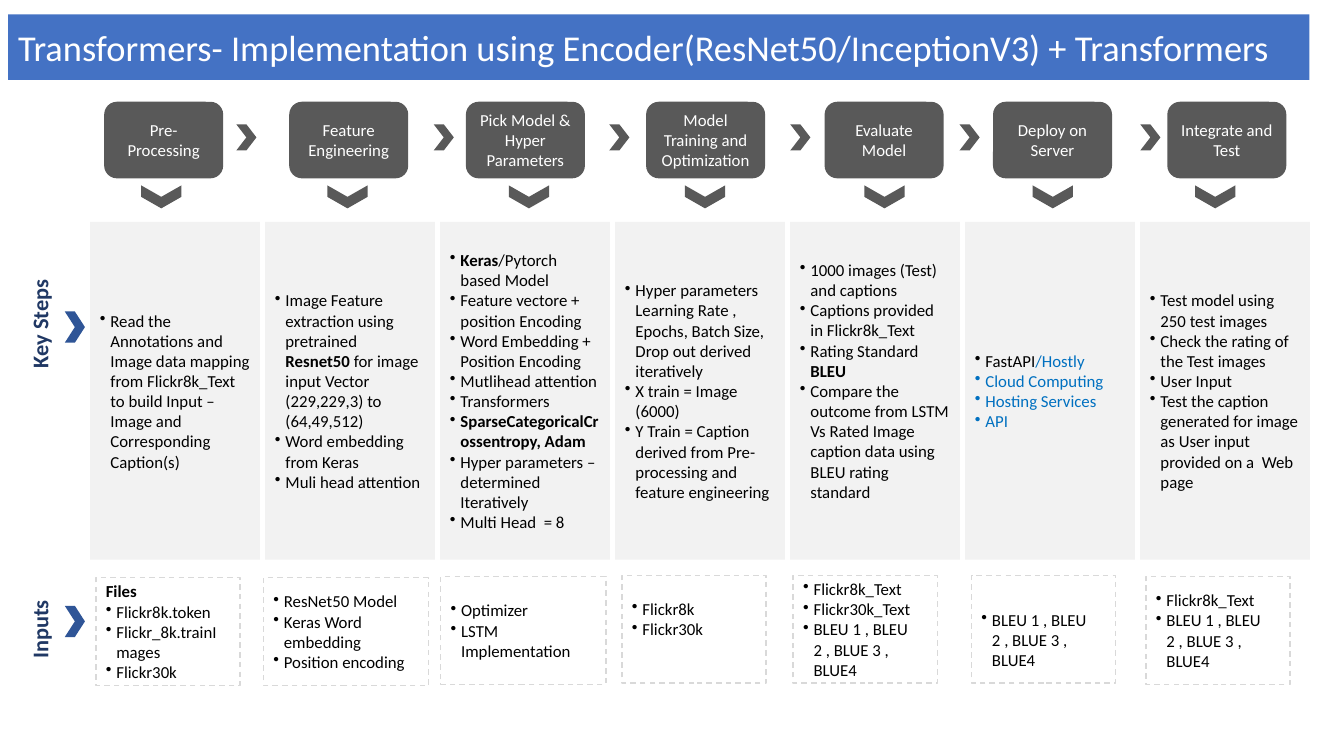
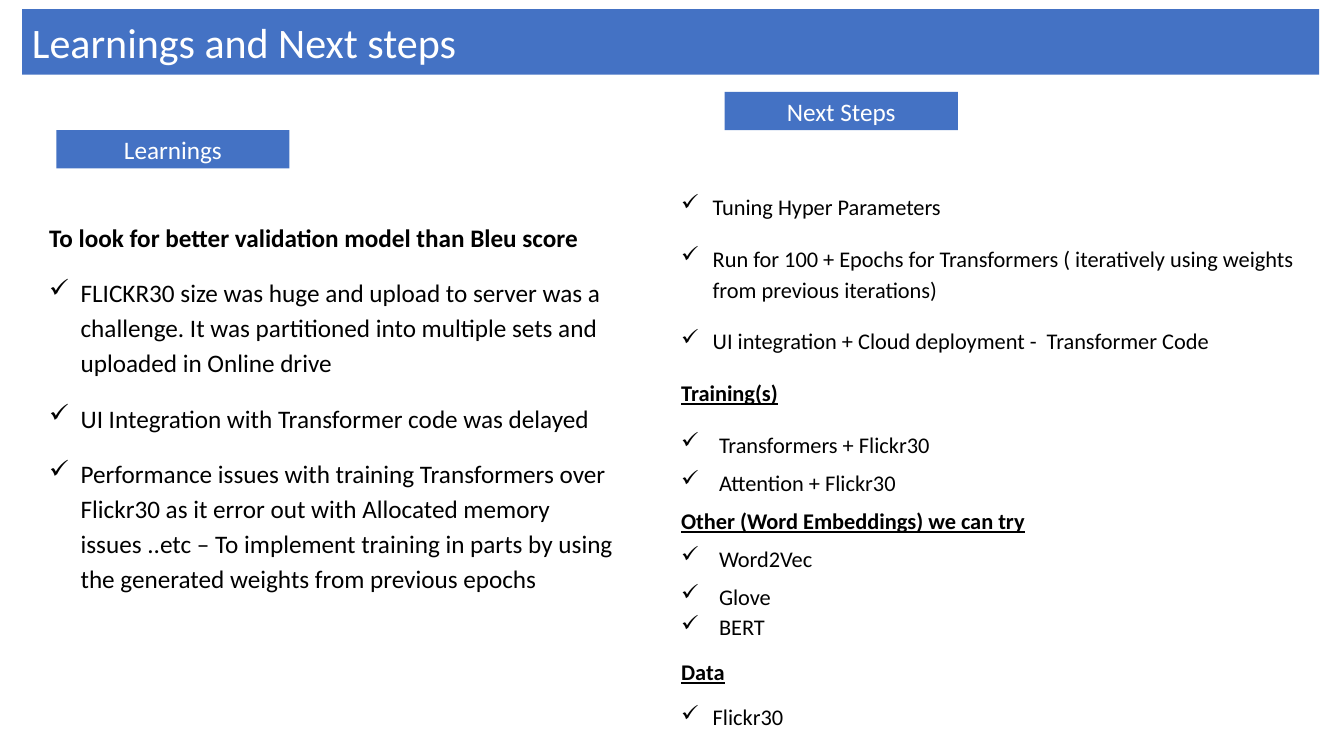
from lxml.etree import SubElement
from pptx import Presentation
from pptx.dml.color import RGBColor
from pptx.enum.dml import MSO_LINE
from pptx.enum.shapes import MSO_SHAPE
from pptx.enum.text import MSO_ANCHOR, PP_ALIGN
from pptx.oxml.ns import qn
from pptx.util import Pt

COLORS = {
    "band": "4472C4", "step": "595959", "panel": "F2F2F2", "dash": "D9D9D9",
    "label": "203864", "marker": "2F5597", "link": "0070C0",
    "text": "000000", "white": "FFFFFF",
}
SPANS = {
    "bold": {"bold": True},
    "heading": {"bold": True, "underline": True},
    "link": {"color": "link"},
}
DOT = {"bullet": "•", "indent": 7.5}
PLAIN = {"bullet": None, "indent": 0}


def set_all(target, values):
    for name, value in values.items():
        setattr(target, name, value)


def color(name):
    return RGBColor.from_string(COLORS[name])


class Deck:
    """Holds the shared style, the presentation and the current slide."""

    font = "Calibri"

    def __init__(self, width, height):
        self.deck = Presentation()
        set_all(self.deck, {"slide_width": Pt(width), "slide_height": Pt(height)})
        self.page = None

    def add_page(self):
        self.page = self.deck.slides.add_slide(self.deck.slide_layouts[6])

    def shape(self, kind, at, fill=None, dash=None):
        box = self.page.shapes.add_shape(kind, *map(Pt, at))
        box.shadow.inherit = False
        if fill:
            box.fill.solid()
            box.fill.fore_color.rgb = color(fill)
        else:
            box.fill.background()
        if dash:
            box.line.color.rgb = color(dash)
            set_all(box.line, {"width": Pt(1), "dash_style": MSO_LINE.DASH})
        else:
            box.line.fill.background()
        return box

    def text_box(self, at):
        return self.page.shapes.add_textbox(*map(Pt, at))

    def set_text(self, box, paras, size, ink="text", align=PP_ALIGN.LEFT, top=3.6, bottom=3.6):
        """Fill a box; each para is (spans, format) and each span (text, style)."""
        frame = box.text_frame
        set_all(frame, {"word_wrap": True, "vertical_anchor": MSO_ANCHOR.MIDDLE,
                        "margin_top": Pt(top), "margin_bottom": Pt(bottom)})
        for index, (spans, layout) in enumerate(paras):
            para = frame.add_paragraph() if index else frame.paragraphs[0]
            set_all(para, {
                "alignment": align,
                "line_spacing": layout.get("spacing", 1.0),
                "space_before": Pt(layout.get("before", 0) if index else 0),
                "space_after": Pt(layout.get("after", 0)),
            })
            if layout.get("bullet"):
                self.bullet(para, layout["bullet"], layout["indent"])
            for text, style in spans:
                span = para.add_run()
                span.text = text
                values = {"name": self.font, "size": Pt(size), **SPANS.get(style, {})}
                span.font.color.rgb = color(values.pop("color", ink))
                set_all(span.font, values)

    def bullet(self, para, mark, indent):
        properties = para._p.get_or_add_pPr()
        properties.set("marL", str(Pt(indent)))
        properties.set("indent", str(-Pt(indent)))
        SubElement(properties, qn("a:buChar")).set("char", mark)

    def band(self, at, text, size, align=PP_ALIGN.LEFT):
        box = self.shape(MSO_SHAPE.RECTANGLE, at, "band")
        self.set_text(box, [([(text, "")], {})], size, "white", align)

    def chevron(self, at, fill, rotation=0):
        self.shape(MSO_SHAPE.CHEVRON, at, fill).rotation = rotation

    def step(self, left, text):
        box = self.shape(MSO_SHAPE.ROUNDED_RECTANGLE, (left, 72.7, 85, 54.7), "step")
        self.set_text(box, [([(text, "")], {})], 12, "white", PP_ALIGN.CENTER)

    def bullets(self, box, items, **margins):
        """Set dotted 12 pt items; an item is a string or a list of spans."""
        paras = []
        for item in items:
            spans = [(item, "")] if isinstance(item, str) else item
            paras.append((spans, PLAIN if spans[0][0] == "Files" else DOT))
        self.set_text(box, paras, 12, **margins)

    def row_label(self, text, top, marker_top):
        box = self.text_box((21, top, 14.4, 100))
        box.text_frame._txBody.bodyPr.set("vert", "vert270")
        self.set_text(box, [([(text, "bold")], {})], 16, "label", PP_ALIGN.CENTER)
        self.chevron((46.3, marker_top, 14.4, 22.3), "marker")

    def save(self):
        self.deck.save("out.pptx")


# Step left, step title, centre of down arrow, left of arrow to next step
STEPS = [
    (74.4, "Pre- Processing", 115.2, 168.8),
    (206.6, "Feature Engineering", 248.2, 309.8),
    (332.8, "Pick Model & Hyper Parameters", 377.8, 435.2),
    (461.5, "Model Training and Optimization", 503.6, 564.5),
    (589, "Evaluate Model", 631.8, 685.4),
    (709.3, "Deploy on Server", 752, 814.5),
    (833.8, "Integrate and Test", 868, None),
]
KEY_STEPS = [
    ["Read the Annotations and Image data mapping from Flickr8k_Text to build "
     "Input – Image and Corresponding Caption(s)"],
    [[("Image Feature extraction using pretrained ", ""), ("Resnet50", "bold"),
      (" for image input Vector (229,229,3) to (64,49,512)", "")],
     "Word embedding from Keras", "Muli head attention"],
    [[("Keras", "bold"), ("/Pytorch based Model", "")],
     "Feature vectore + position Encoding", "Word Embedding + Position Encoding",
     "Mutlihead attention", "Transformers",
     [("SparseCategoricalCrossentropy, Adam", "bold")],
     "Hyper parameters – determined Iteratively", "Multi Head  = 8"],
    ["Hyper parameters Learning Rate , Epochs, Batch Size, Drop out derived iteratively",
     "X train = Image (6000)",
     "Y Train = Caption derived from Pre-processing and feature engineering"],
    ["1000 images (Test) and captions", "Captions provided in Flickr8k_Text",
     [("Rating Standard ", ""), ("BLEU", "bold")],
     "Compare the outcome from LSTM Vs Rated Image caption data using BLEU rating standard"],
    [[("FastAPI", ""), ("/Hostly", "link")], [("Cloud Computing", "link")],
     [("Hosting Services", "link")], [("API", "link")]],
    ["Test model using 250 test images", "Check the rating of the Test images", "User Input",
     "Test the caption generated for image as User input provided on a  Web page"],
]
SCORES = "BLEU 1 , BLEU 2 , BLUE 3 , BLUE4"
# Left, top, width, items
INPUTS = [
    (68.5, 412.6, 103, [[("Files", "bold")], "Flickr8k.token",
                        "Flickr_8k.trainImages", "Flickr30k"]),
    (188.2, 412.6, 118, ["ResNet50 Model", "Keras Word embedding", "Position encoding"]),
    (314.8, 411.8, 118, ["Optimizer", "LSTM Implementation"]),
    (444.3, 411, 103, ["Flickr8k", "Flickr30k"]),
    (566.6, 411, 103, ["Flickr8k_Text", "Flickr30k_Text", SCORES]),
    (694, 411, 103, [SCORES]),
    (818.6, 411.8, 103, ["Flickr8k_Text", SCORES]),
]
LINE = 14.6
STEP_MARGINS = {4: {"bottom": 3.6 + LINE}}
INPUT_MARGINS = {3: {"bottom": 3.6 + LINE}, 5: {"top": 3.6 + LINE}}


def implementation_page(deck):
    deck.add_page()
    for index, (left, title, down, following) in enumerate(STEPS):
        deck.step(left, title)
        deck.chevron((down - 8.2, 126.2, 16.4, 28.8), "step", 90)
        if following:
            deck.chevron((following, 88.8, 14.4, 18.7), "step")
        panel = deck.shape(MSO_SHAPE.RECTANGLE, (64.3 + 125 * index, 158.5, 121.3, 241.3), "panel")
        deck.bullets(panel, KEY_STEPS[index], **STEP_MARGINS.get(index, {}))
        left, top, width, items = INPUTS[index]
        box = deck.shape(MSO_SHAPE.RECTANGLE, (left, top, width, 77), dash="dash")
        deck.bullets(box, items, **INPUT_MARGINS.get(index, {}))
    deck.row_label("Key Steps", 181.5, 222.5)
    deck.row_label("Inputs", 399.6, 432.7)
    deck.band((5.8, 10.2, 929.5, 46.8),
              "Transformers- Implementation using Encoder(ResNet50/InceptionV3) + Transformers", 26)


LOOSE = {"spacing": 1.15, "before": 5, "after": 10}
TIGHT = {"spacing": 1.15, "before": 5}
CLOSING = {"spacing": 1.15, "after": 10}
CHECK = {"bullet": "✓", "indent": 22.5}
WIDE_CHECK = {"bullet": "✓", "indent": 27}
LEARNINGS = [
    ("To look for better validation model than Bleu score", "bold", LOOSE),
    ("FLICKR30 size was huge and upload to server was a challenge. It was partitioned into "
     "multiple sets and uploaded in Online drive", "", LOOSE | CHECK),
    ("UI Integration with Transformer code was delayed", "", LOOSE | CHECK),
    ("Performance issues with training Transformers over Flickr30 as it error out with "
     "Allocated memory issues ..etc – To implement training in parts by using the generated "
     "weights from previous epochs", "", LOOSE | CHECK),
]
NEXT_STEPS = [
    ("Tuning Hyper Parameters", "", LOOSE | CHECK),
    ("Run for 100 + Epochs for Transformers ( iteratively using weights from previous "
     "iterations)", "", LOOSE | CHECK),
    ("UI integration + Cloud deployment -  Transformer Code", "", LOOSE | CHECK),
    ("Training(s)", "heading", LOOSE),
    ("Transformers + Flickr30", "", TIGHT | WIDE_CHECK),
    ("Attention + Flickr30", "", TIGHT | WIDE_CHECK),
    ("Other (Word Embeddings) we can try", "heading", TIGHT),
    ("Word2Vec", "", TIGHT | WIDE_CHECK),
    ("Glove", "", TIGHT | WIDE_CHECK),
    ("BERT", "", CLOSING | WIDE_CHECK),
    ("Data", "heading", CLOSING),
    ("Flickr30", "", CLOSING | CHECK),
]
# Heading, heading place, text place, text size, lines
COLUMNS = [
    ("Learnings", (40.3, 93, 166.5, 27.3), (28, 132.5, 417.6, 308.9), 18, LEARNINGS),
    ("Next Steps", (517.7, 65.6, 166.5, 27.3), (479.5, 132.5, 456.5, 386.6), 16, NEXT_STEPS),
]


def learnings_page(deck):
    deck.add_page()
    deck.band((15.8, 6.5, 926.6, 46.8), "Learnings and Next steps", 30)
    for heading, heading_at, text_at, size, lines in COLUMNS:
        deck.band(heading_at, heading, 18, PP_ALIGN.CENTER)
        paras = [([(text, style)], layout) for text, style, layout in lines]
        deck.set_text(deck.text_box(text_at), paras, size, top=8.6)


def main():
    deck = Deck(960, 540)
    implementation_page(deck)
    learnings_page(deck)
    deck.save()


if __name__ == "__main__":
    main()
